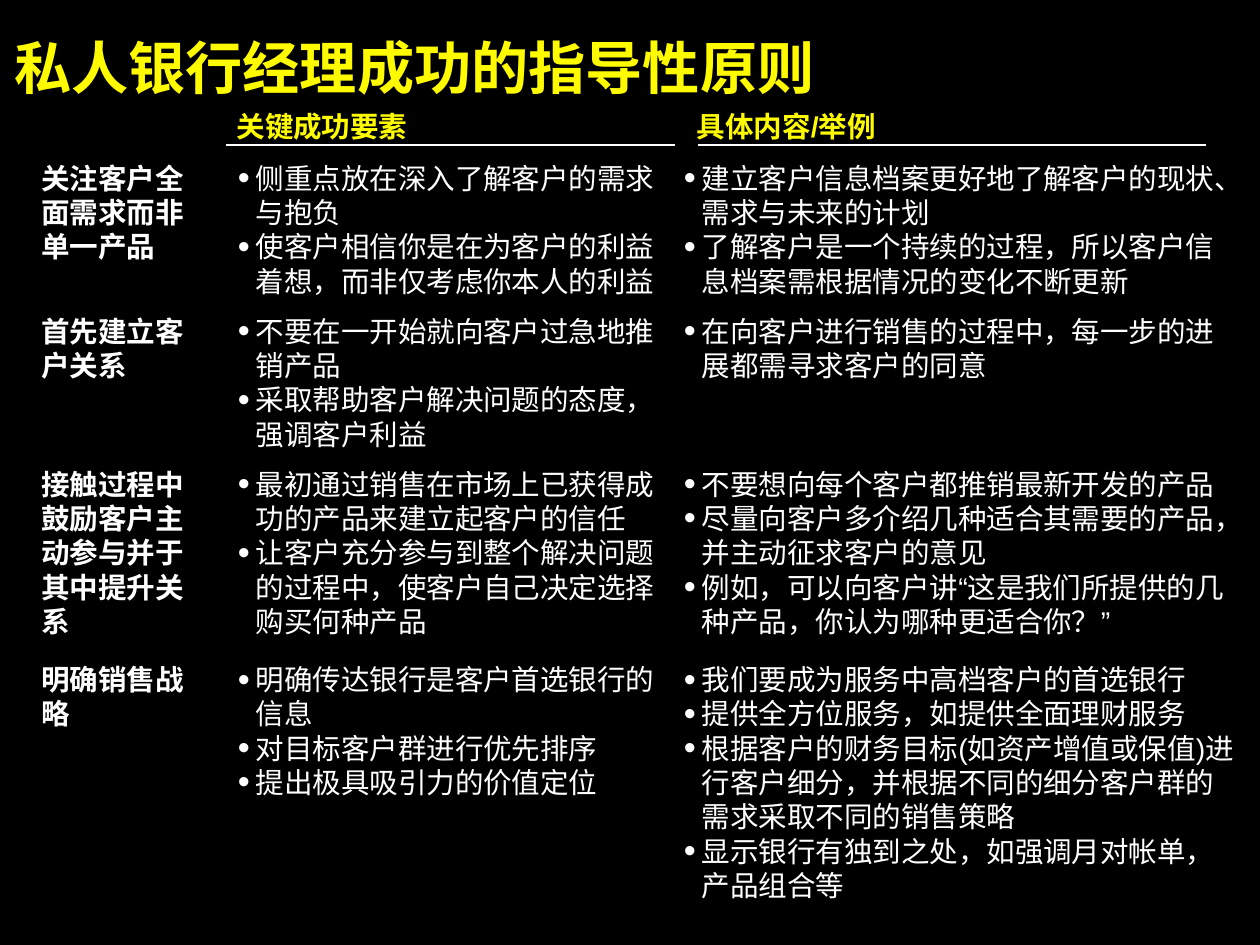
from dataclasses import dataclass

from lxml import etree
from pptx import Presentation
from pptx.dml.color import RGBColor
from pptx.enum import lang, shapes, text
from pptx.oxml import ns
from pptx.util import Inches, Pt

TITLE = "私人银行经理成功的指导性原则"
HEADINGS = ["关键成功要素", "具体内容/举例"]
PRINCIPLES = [
    ("关注客户全面需求而非单一产品",
     ["侧重点放在深入了解客户的需求与抱负",
      "使客户相信你是在为客户的利益着想，而非仅考虑你本人的利益"],
     ["建立客户信息档案更好地了解客户的现状、需求与未来的计划",
      "了解客户是一个持续的过程，所以客户信息档案需根据情况的变化不断更新"]),
    ("首先建立客户关系",
     ["不要在一开始就向客户过急地推销产品",
      "采取帮助客户解决问题的态度，强调客户利益"],
     ["在向客户进行销售的过程中，每一步的进展都需寻求客户的同意"]),
    ("接触过程中鼓励客户主动参与并于其中提升关系",
     ["最初通过销售在市场上已获得成功的产品来建立起客户的信任",
      "让客户充分参与到整个解决问题的过程中，使客户自己决定选择购买何种产品"],
     ["不要想向每个客户都推销最新开发的产品",
      "尽量向客户多介绍几种适合其需要的产品，并主动征求客户的意见",
      "例如，可以向客户讲“这是我们所提供的几种产品，你认为哪种更适合你？”"]),
    ("明确销售战略",
     ["明确传达银行是客户首选银行的信息",
      "对目标客户群进行优先排序",
      "提出极具吸引力的价值定位"],
     ["我们要成为服务中高档客户的首选银行",
      "提供全方位服务，如提供全面理财服务",
      "根据客户的财务目标(如资产增值或保值)进行客户细分，并根据不同的细分客户群的需求采取不同的销售策略",
      "显示银行有独到之处，如强调月对帐单，产品组合等"]),
]


@dataclass(frozen=True)
class Theme:
    font: str = "Arial"
    background: RGBColor = RGBColor(0x00, 0x00, 0x00)
    accent: RGBColor = RGBColor(0xFE, 0xFB, 0x00)
    body: RGBColor = RGBColor(0xFF, 0xFF, 0xFF)
    title_size: int = 32
    body_size: int = 16


THEME = Theme()
SLIDE_WIDTH, SLIDE_HEIGHT = 9.8, 7.35
LINE_HEIGHT = 0.27
TITLE_BOX = (0.11, 0.25, 9.51, 0.53)
HEADING_TOP, RULE_TOP = 0.85, 1.13
HEADING_COLUMNS = [(1.84, 2.3), (5.42, 2.35)]  # left, width
RULES = [(1.76, 5.25), (5.43, 9.38)]  # start, end
LABEL_COLUMN, FACTOR_COLUMN, DETAIL_COLUMN = (0.32, 1.32), (1.84, 3.33), (5.31, 4.34)
ROW_TOPS = [1.25, 2.44, 3.63, 5.15]


def add_bullet(paragraph):
    properties = paragraph._p.get_or_add_pPr()
    properties.set("marL", str(Inches(0.15)))
    properties.set("indent", str(Inches(-0.14)))
    color = etree.SubElement(properties, ns.qn("a:buClr"))
    etree.SubElement(color, ns.qn("a:srgbClr"), val=str(THEME.body))
    etree.SubElement(properties, ns.qn("a:buSzPct"), val="120000")
    etree.SubElement(properties, ns.qn("a:buFont"), typeface=THEME.font)
    etree.SubElement(properties, ns.qn("a:buChar"), char="•")


def add_text(slide, box, lines, color, size=THEME.body_size, bold=False, bullets=False):
    shape = slide.shapes.add_textbox(*(Inches(length) for length in box))
    frame = shape.text_frame
    frame.word_wrap = True
    frame.auto_size = text.MSO_AUTO_SIZE.SHAPE_TO_FIT_TEXT
    frame.margin_left = frame.margin_top = frame.margin_right = frame.margin_bottom = 0
    frame.text = "\n".join(lines)
    for paragraph in frame.paragraphs:
        if bullets:
            add_bullet(paragraph)
        for run in paragraph.runs:
            font = run.font
            font.name, font.size, font.bold = THEME.font, Pt(size), bold
            font.color.rgb = color
            font.language_id = lang.MSO_LANGUAGE_ID.SIMPLIFIED_CHINESE
            latin = font._element.find(ns.qn("a:latin"))
            latin.addnext(etree.Element(ns.qn("a:ea"), typeface=THEME.font))


def add_rule(slide, start, end):
    line = slide.shapes.add_connector(
        shapes.MSO_CONNECTOR.STRAIGHT,
        Inches(start), Inches(RULE_TOP), Inches(end), Inches(RULE_TOP))
    line.line.color.rgb = THEME.body
    line.line.width = Pt(1)
    etree.SubElement(line._element.spPr, ns.qn("a:effectLst"))


def main():
    presentation = Presentation()
    presentation.slide_width = Inches(SLIDE_WIDTH)
    presentation.slide_height = Inches(SLIDE_HEIGHT)
    slide = presentation.slides.add_slide(presentation.slide_layouts[6])
    slide.background.fill.solid()
    slide.background.fill.fore_color.rgb = THEME.background

    add_text(slide, TITLE_BOX, [TITLE], THEME.accent, THEME.title_size, bold=True)
    for heading, (left, width), rule in zip(HEADINGS, HEADING_COLUMNS, RULES):
        add_text(slide, (left, HEADING_TOP, width, LINE_HEIGHT), [heading],
                 THEME.accent, bold=True)
        add_rule(slide, *rule)

    row_ends = ROW_TOPS[1:] + [SLIDE_HEIGHT - 0.2]
    for (label, factors, details), top, end in zip(PRINCIPLES, ROW_TOPS, row_ends):
        cells = [(LABEL_COLUMN, [label]), (FACTOR_COLUMN, factors), (DETAIL_COLUMN, details)]
        for (left, width), lines in cells:
            is_label = lines == [label]
            add_text(slide, (left, top, width, end - top - 0.12), lines,
                     THEME.body, bold=is_label, bullets=not is_label)

    presentation.save("out.pptx")


if __name__ == "__main__":
    main()
